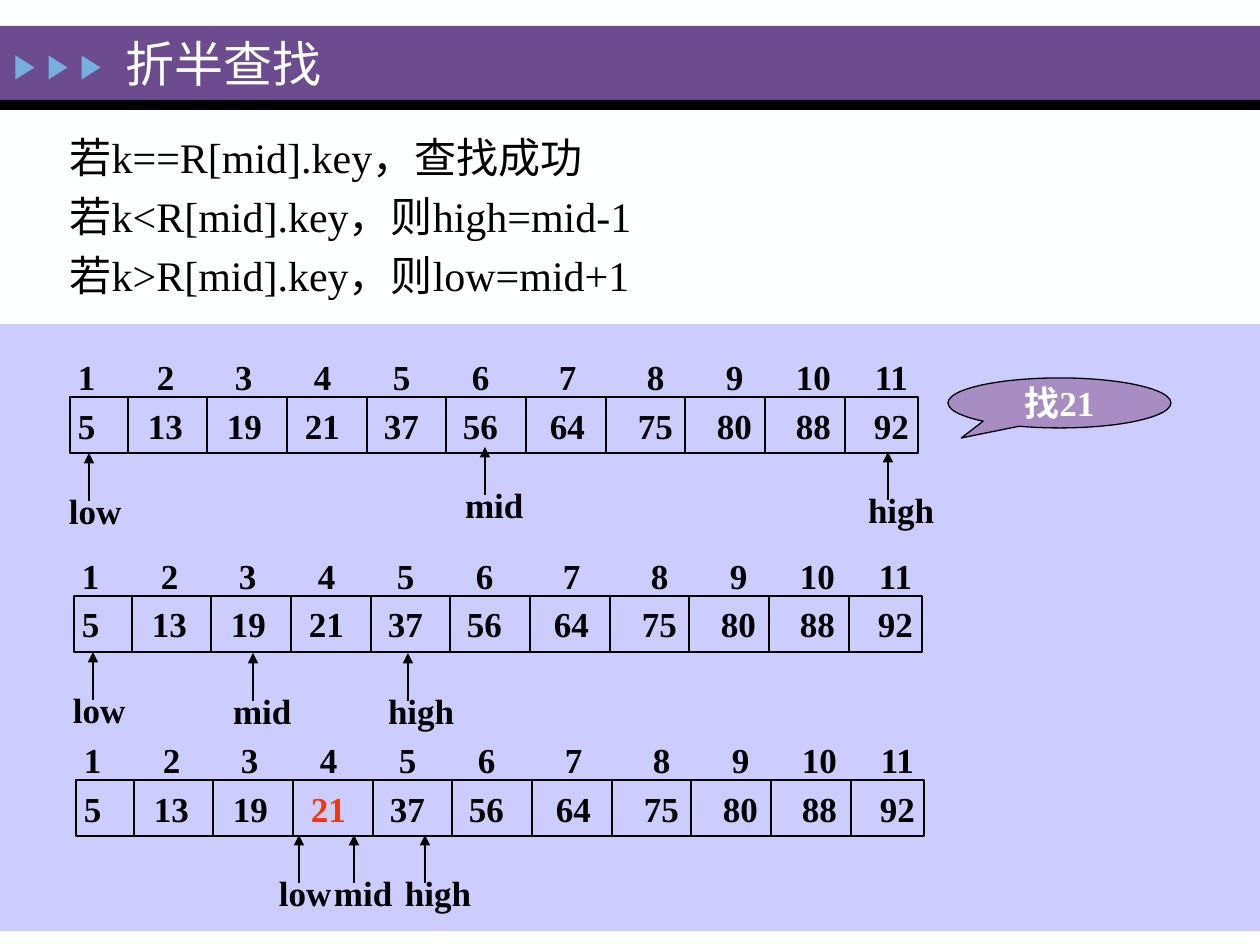
import pptx
import pptx.dml.color
import pptx.enum.shapes
import pptx.enum.text
import pptx.oxml
import pptx.oxml.ns
import pptx.util

PX = 914400 // 126
FONT = "Times New Roman"
COLORS = {
    "paper": "FEFFFF", "band": "6C4C8F", "black": "000000", "marker": "76AEDD",
    "panel": "CCCCFF", "callout": "A78DC2", "found": "FF3300",
}
SHAPE = pptx.enum.shapes.MSO_SHAPE
ALIGN = pptx.enum.text.PP_ALIGN
ANCHOR = pptx.enum.text.MSO_ANCHOR

INDEXES = [str(number) for number in range(1, 12)]
VALUES = ["5", "13", "19", "21", "37", "56", "64", "75", "80", "88", "92"]
INDEX_TABS = [79, 157, 236, 315, 394, 481, 569, 648, 718, 797]
VALUE_TABS = [70, 149, 227, 306, 385, 472, 560, 639, 718, 796]
ARRAY_WIDTH, ARRAY_HEIGHT = 848, 56
LABEL_WIDTHS = {"low": 78, "mid": 84, "high": 92}
STEPS = [
    {"left": 70, "top": 397, "found": None,
     "pointers": {"low": (89, 453), "mid": (485, 447), "high": (888, 452)}},
    {"left": 74, "top": 596, "found": None,
     "pointers": {"low": (93, 652), "mid": (253, 653), "high": (408, 653)}},
    {"left": 76, "top": 780, "found": "21",
     "pointers": {"low": (299, 835), "mid": (354, 835), "high": (425, 835)}},
]
RULES = [
    "若k==R[mid].key，查找成功",
    "若k<R[mid].key，则high=mid-1",
    "若k>R[mid].key，则low=mid+1",
]


def color(name):
    """Return the named colour."""
    return pptx.dml.color.RGBColor.from_string(COLORS[name])


def apply(target, formats):
    """Set every attribute in formats on target."""
    for name, value in formats.items():
        setattr(target, name, value)


def place(shape, left, top, width, height):
    """Move and size a shape in px."""
    apply(shape, {"left": left * PX, "top": top * PX,
                  "width": width * PX, "height": height * PX})


def add_element(parent, tag, **attributes):
    """Append a drawing element with attributes to parent."""
    element = pptx.oxml.parse_xml(f"<a:{tag} {pptx.oxml.ns.nsdecls('a')}/>")
    for name, value in attributes.items():
        element.set(name, str(value))
    parent.append(element)
    return element


def add_run(paragraph, text, size=20, bold=True, ink="black"):
    """Add formatted text to a paragraph."""
    run = paragraph.add_run()
    run.text = text
    apply(run.font, {"name": FONT, "size": pptx.util.Pt(size), "bold": bold})
    run.font.color.rgb = color(ink)


def add_shape(slide, kind, box, fill=None, line=None):
    """Add a preset shape without shadow."""
    shape = slide.shapes.add_shape(kind, *(length * PX for length in box))
    shape.shadow.inherit = False
    if fill:
        shape.fill.solid()
        shape.fill.fore_color.rgb = color(fill)
    else:
        shape.fill.background()
    if line:
        shape.line.color.rgb = color(line)
        shape.line.width = pptx.util.Pt(0.75)
    else:
        shape.line.fill.background()
    return shape


def add_line(slide, start, end, arrow=False):
    """Add a thin black line, with an arrowhead at its end if wanted."""
    line = slide.shapes.add_connector(
        pptx.enum.shapes.MSO_CONNECTOR.STRAIGHT,
        *(length * PX for length in (*start, *end)))
    line.line.color.rgb = color("black")
    line.line.width = pptx.util.Pt(0.75)
    if arrow:
        add_element(line.line._get_or_add_ln(), "tailEnd", type="triangle")
    add_element(line._element.spPr, "effectLst")


def add_text_box(slide, box):
    """Add an empty text box and return it."""
    text_box = slide.shapes.add_textbox(*(length * PX for length in box))
    apply(text_box.text_frame, {"word_wrap": True, "margin_left": 12 * PX,
                                "margin_right": 0})
    return text_box


def write_tabbed(shape, items, tabs, inset, found=None):
    """Write items at tab stops, colouring the found one."""
    frame = shape.text_frame
    apply(frame, {"word_wrap": True, "margin_left": inset * PX, "margin_right": 0})
    paragraph = frame.paragraphs[0]
    paragraph.alignment = ALIGN.LEFT
    stops = add_element(paragraph._p.get_or_add_pPr(), "tabLst")
    for tab in tabs:
        add_element(stops, "tab", pos=tab * PX, algn="l")
    for position, item in enumerate(items):
        text = "\t" + item if position else item
        add_run(paragraph, text, ink="found" if item == found else "black")


def add_pointer(slide, name, tip_x, tip_y):
    """Add a labelled arrow pointing up at an array cell."""
    add_line(slide, (tip_x, tip_y + 48), (tip_x, tip_y), arrow=True)
    label = add_text_box(slide, (tip_x - 32, tip_y + 30, LABEL_WIDTHS[name], 54))
    add_run(label.text_frame.paragraphs[0], name)


def add_array(slide, left, top, found, pointers):
    """Add an indexed array with its cell dividers and pointers."""
    indexes = add_text_box(slide, (left - 4, top - 48, ARRAY_WIDTH + 9, 54))
    write_tabbed(indexes, INDEXES, INDEX_TABS, 12)
    cells = add_shape(slide, SHAPE.RECTANGLE,
                      (left, top, ARRAY_WIDTH, ARRAY_HEIGHT), line="black")
    cells.text_frame.vertical_anchor = ANCHOR.MIDDLE
    write_tabbed(cells, VALUES, VALUE_TABS, 8, found)
    for divider in range(len(VALUES) - 1):
        x = left + 58 + divider * 717 // 9
        add_line(slide, (x, top), (x, top + ARRAY_HEIGHT))
    for name, tip in pointers.items():
        add_pointer(slide, name, *tip)


def add_callout(slide):
    """Add the callout naming the search key."""
    callout = add_shape(slide, SHAPE.OVAL_CALLOUT, (948, 378, 223, 50),
                        "callout", "black")
    callout.adjustments[0] = -0.44
    callout.adjustments[1] = 0.7
    apply(callout.text_frame, {"word_wrap": False, "vertical_anchor": ANCHOR.MIDDLE})
    paragraph = callout.text_frame.paragraphs[0]
    paragraph.alignment = ALIGN.CENTER
    add_run(paragraph, "找21", ink="paper")


def fill_placeholder(slide, shape, box, lines, size, ink):
    """Place a placeholder in front and write unbulleted lines in it."""
    slide.shapes._spTree.append(shape._element)
    place(shape, *box)
    frame = shape.text_frame
    apply(frame, {"word_wrap": True, "vertical_anchor": ANCHOR.MIDDLE,
                  "auto_size": pptx.enum.text.MSO_AUTO_SIZE.NONE})
    for position, text in enumerate(lines):
        paragraph = frame.add_paragraph() if position else frame.paragraphs[0]
        properties = paragraph._p.get_or_add_pPr()
        for name in ("marL", "indent"):
            properties.set(name, "0")
        add_element(properties, "buNone")
        apply(paragraph, {"alignment": ALIGN.LEFT,
                          "space_before": pptx.util.Pt(5 if position else 0)})
        add_run(paragraph, text, size, False, ink)


def add_backdrop(slide):
    """Add the background, title band, markers and panel."""
    slide.background.fill.solid()
    slide.background.fill.fore_color.rgb = color("paper")
    add_shape(slide, SHAPE.RECTANGLE, (0, 26, 1260, 74), "band")
    add_shape(slide, SHAPE.RECTANGLE, (0, 100, 1260, 10), "black")
    for marker in range(3):
        triangle = add_shape(slide, SHAPE.ISOSCELES_TRIANGLE,
                             (13 + marker * 33, 58, 24, 19), "marker")
        triangle.rotation = 90
    add_shape(slide, SHAPE.RECTANGLE, (0, 324, 1260, 607), "panel")


def main():
    """Build and save the binary search slide."""
    presentation = pptx.Presentation()
    apply(presentation, {"slide_width": 1260 * PX, "slide_height": 945 * PX})
    slide = presentation.slides.add_slide(presentation.slide_layouts[1])
    title, body = slide.placeholders
    add_backdrop(slide)
    for step in STEPS:
        add_array(slide, **step)
    add_callout(slide)
    fill_placeholder(slide, title, (113, 28, 426, 70), ["折半查找"], 28, "paper")
    fill_placeholder(slide, body, (57, 119, 1142, 193), RULES, 24, "black")
    presentation.save("out.pptx")


if __name__ == "__main__":
    main()
